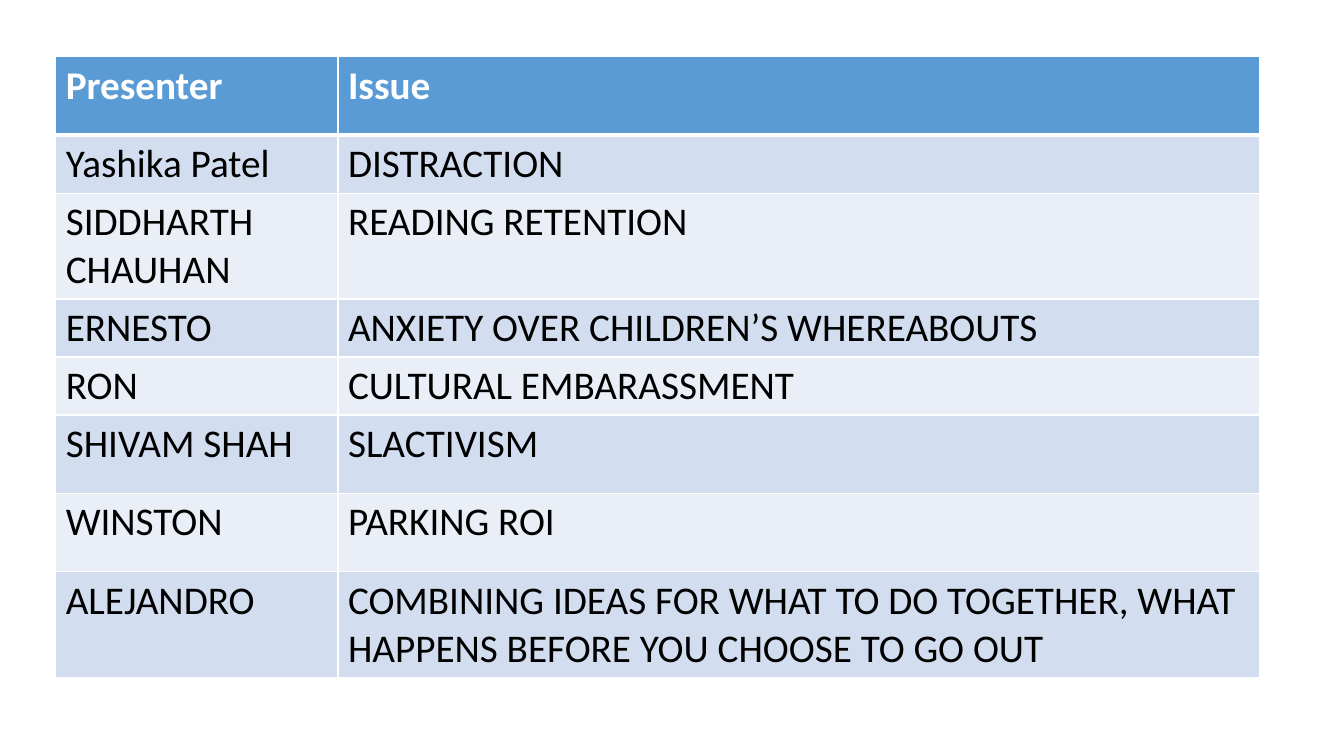
from lxml import etree
from pptx import Presentation
from pptx.dml.color import RGBColor
from pptx.oxml import ns
from pptx.util import Pt

HEADER = ("Presenter", "Issue")
ISSUES = [
    ("Yashika Patel", "DISTRACTION"),
    ("SIDDHARTH CHAUHAN", "READING RETENTION"),
    ("ERNESTO", "ANXIETY OVER CHILDREN’S WHEREABOUTS"),
    ("RON", "CULTURAL EMBARASSMENT"),
    ("SHIVAM SHAH", "SLACTIVISM"),
    ("WINSTON", "PARKING ROI"),
    ("ALEJANDRO", "COMBINING IDEAS FOR WHAT TO DO TOGETHER, "
                  "WHAT HAPPENS BEFORE YOU CHOOSE TO GO OUT"),
]
COLUMN_WIDTHS = (201.6, 658)
ROW_HEIGHTS = (56, 30, 42.5, 29.5, 26.6, 56, 56, 56)
LEFT, TOP = 39.8, 40.5

WHITE = RGBColor(0xFF, 0xFF, 0xFF)
BLACK = RGBColor(0x00, 0x00, 0x00)
HEADER_BLUE = RGBColor(0x5B, 0x9B, 0xD5)
BANDS = (RGBColor(0xEA, 0xEF, 0xF7), RGBColor(0xD2, 0xDE, 0xEF))
TEXT_FORMAT = {"name": "Calibri", "size": Pt(28)}


def add_borders(cell, widths):
    """Draw white borders; widths maps a side (L, R, T, B) to points."""
    properties = cell._tc.get_or_add_tcPr()
    for side, width in widths.items():
        line = etree.SubElement(properties, ns.qn(f"a:ln{side}"), w=str(Pt(width)))
        fill = etree.SubElement(line, ns.qn("a:solidFill"))
        etree.SubElement(fill, ns.qn("a:srgbClr"), val=str(WHITE))


def format_cell(cell, words, row):
    is_header = row == 0
    add_borders(cell, {"L": 1, "R": 1, "T": 3 if row == 1 else 1,
                       "B": 3 if is_header else 1})
    cell.fill.solid()
    cell.fill.fore_color.rgb = HEADER_BLUE if is_header else BANDS[row % 2]
    cell.text = words
    font = cell.text_frame.paragraphs[0].runs[0].font
    for attribute, value in {**TEXT_FORMAT, "bold": is_header}.items():
        setattr(font, attribute, value)
    font.color.rgb = WHITE if is_header else BLACK


def main():
    presentation = Presentation()
    presentation.slide_width, presentation.slide_height = Pt(960), Pt(540)
    slide = presentation.slides.add_slide(presentation.slide_layouts[6])

    rows = [HEADER, *ISSUES]
    table = slide.shapes.add_table(
        len(rows), len(HEADER), Pt(LEFT), Pt(TOP),
        Pt(sum(COLUMN_WIDTHS)), Pt(sum(ROW_HEIGHTS))).table
    for column, width in zip(table.columns, COLUMN_WIDTHS):
        column.width = Pt(width)
    for table_row, height in zip(table.rows, ROW_HEIGHTS):
        table_row.height = Pt(height)
    for row, entry in enumerate(rows):
        for column, words in enumerate(entry):
            format_cell(table.cell(row, column), words, row)

    presentation.save("out.pptx")


if __name__ == "__main__":
    main()
